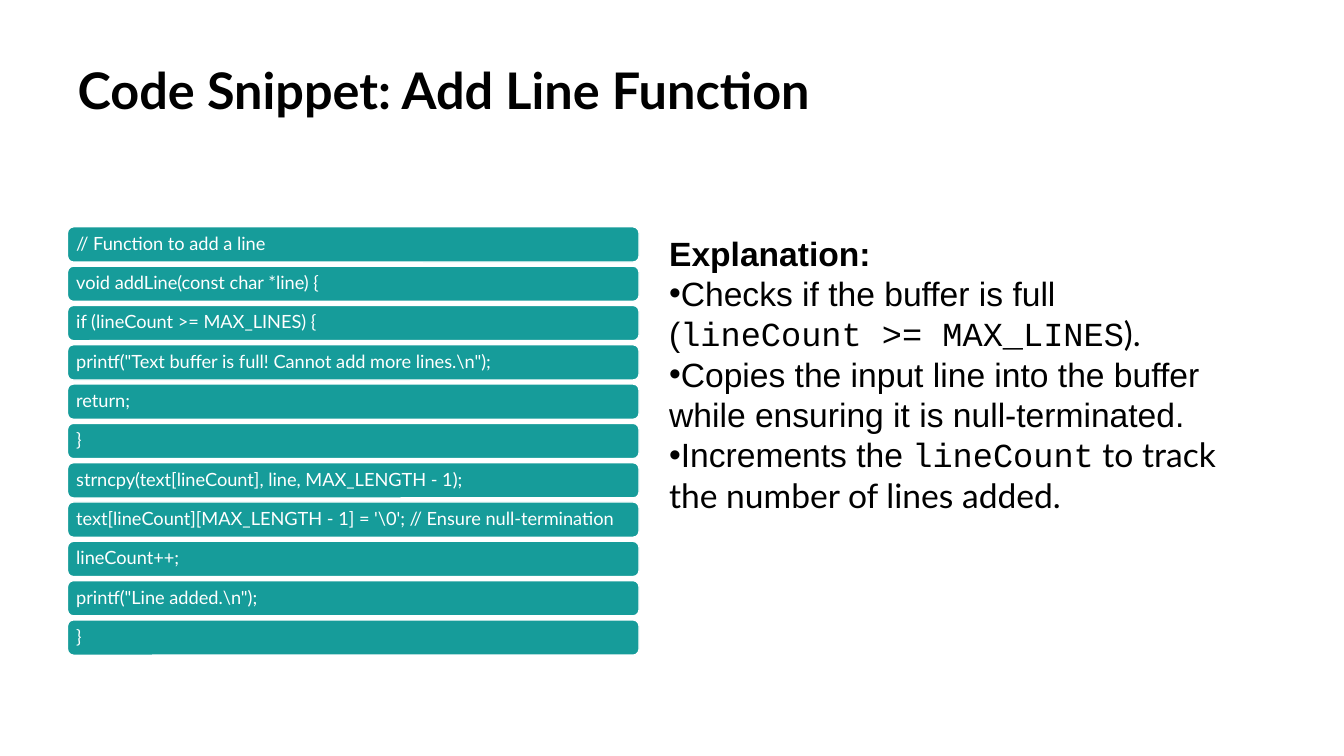
from lxml.etree import SubElement
from pptx import Presentation
from pptx.dml.color import RGBColor
from pptx.enum.shapes import MSO_SHAPE as SHAPE
from pptx.enum.text import MSO_ANCHOR as ANCHOR, MSO_AUTO_SIZE as AUTO, PP_ALIGN as ALIGN
from pptx.oxml.ns import qn
from pptx.util import Pt

COLORS = {"text": "000000", "bar": "169C9A", "white": "FFFFFF"}

CODE_LINES = [
    "// Function to add a line",
    "void addLine(const char *line) {",
    "if (lineCount >= MAX_LINES) {",
    'printf("Text buffer is full! Cannot add more lines.\\n");',
    "return;",
    "}",
    "strncpy(text[lineCount], line, MAX_LENGTH - 1);",
    "text[lineCount][MAX_LENGTH - 1] = '\\0'; // Ensure null-termination",
    "lineCount++;",
    'printf("Line added.\\n");',
    "}",
]

EXPLANATION = [
    [("Checks if the buffer is full (", "Arial"),
     ("lineCount >= MAX_LINES", "Courier New"), (").", "Lato")],
    [("Copies the input line into the buffer while ensuring it is null-terminated.", "Arial")],
    [("Increments the ", "Arial"), ("lineCount", "Courier New"),
     (" to track the number of lines added.", "Lato")],
]

BAR_LEFT, BAR_TOP, BAR_WIDTH, BAR_HEIGHT, BAR_PITCH = 48.24, 162, 408.24, 25.2, 28.08


def color(name):
    return RGBColor.from_string(COLORS[name])


def set_attrs(obj, values):
    for name, value in values.items():
        setattr(obj, name, value)


def place(sp, left, top, width, height):
    set_attrs(sp, {"left": Pt(left), "top": Pt(top), "width": Pt(width), "height": Pt(height)})


def add_run(p, text, font, size, color_name, bold=False):
    r = p.add_run()
    r.text = text
    set_attrs(r.font, {"name": font, "size": Pt(size), "bold": bold})
    r.font.color.rgb = color(color_name)


def add_bullet(p):
    pPr = p._p.get_or_add_pPr()
    pPr.set("marL", "0")
    pPr.set("indent", "0")
    SubElement(pPr, qn("a:buFont")).set("typeface", "Arial")
    SubElement(pPr, qn("a:buChar")).set("char", "•")


def add_title(s, text):
    sp = s.shapes.title
    place(sp, 48.24, 43.2, 846, 89.28)
    tf = sp.text_frame
    set_attrs(tf, {"vertical_anchor": ANCHOR.TOP, "word_wrap": True, "auto_size": AUTO.NONE})
    p = tf.paragraphs[0]
    set_attrs(p, {"alignment": ALIGN.LEFT, "line_spacing": 0.9})
    add_run(p, text, "Lato", 36, "text", True)


def add_code_bar(s, top, text):
    sp = s.shapes.add_shape(SHAPE.ROUNDED_RECTANGLE, Pt(BAR_LEFT), Pt(top),
                            Pt(BAR_WIDTH), Pt(BAR_HEIGHT))
    sp.shadow.inherit = False
    sp.fill.solid()
    sp.fill.fore_color.rgb = color("bar")
    sp.line.color.rgb = color("white")
    sp.line.width = Pt(1)
    tf = sp.text_frame
    set_attrs(tf, {"margin_left": Pt(5), "margin_right": Pt(5), "margin_top": Pt(3.6),
                   "margin_bottom": Pt(3.6), "vertical_anchor": ANCHOR.MIDDLE,
                   "word_wrap": True})
    p = tf.paragraphs[0]
    set_attrs(p, {"alignment": ALIGN.LEFT, "line_spacing": 0.9})
    add_run(p, text, "Lato", 13, "white")


def add_explanation(s, heading, points):
    sp = s.shapes.add_textbox(Pt(470.88), Pt(162.72), Pt(432), Pt(232.56))
    tf = sp.text_frame
    set_attrs(tf, {"word_wrap": True, "vertical_anchor": ANCHOR.TOP})
    p = tf.paragraphs[0]
    p.line_spacing = Pt(28.8)
    add_run(p, heading, "Arial", 24, "text", True)
    for runs in points:
        p = tf.add_paragraph()
        p.line_spacing = Pt(28.8)
        add_bullet(p)
        for text, font in runs:
            add_run(p, text, font, 24, "text")


def main():
    prs = Presentation()
    set_attrs(prs, {"slide_width": Pt(960), "slide_height": Pt(540)})
    s = prs.slides.add_slide(prs.slide_layouts[5])
    add_title(s, "Code Snippet: Add Line Function")
    for i, text in enumerate(CODE_LINES):
        add_code_bar(s, BAR_TOP + i * BAR_PITCH, text)
    add_explanation(s, "Explanation:", EXPLANATION)
    prs.save("out.pptx")


if __name__ == "__main__":
    main()
